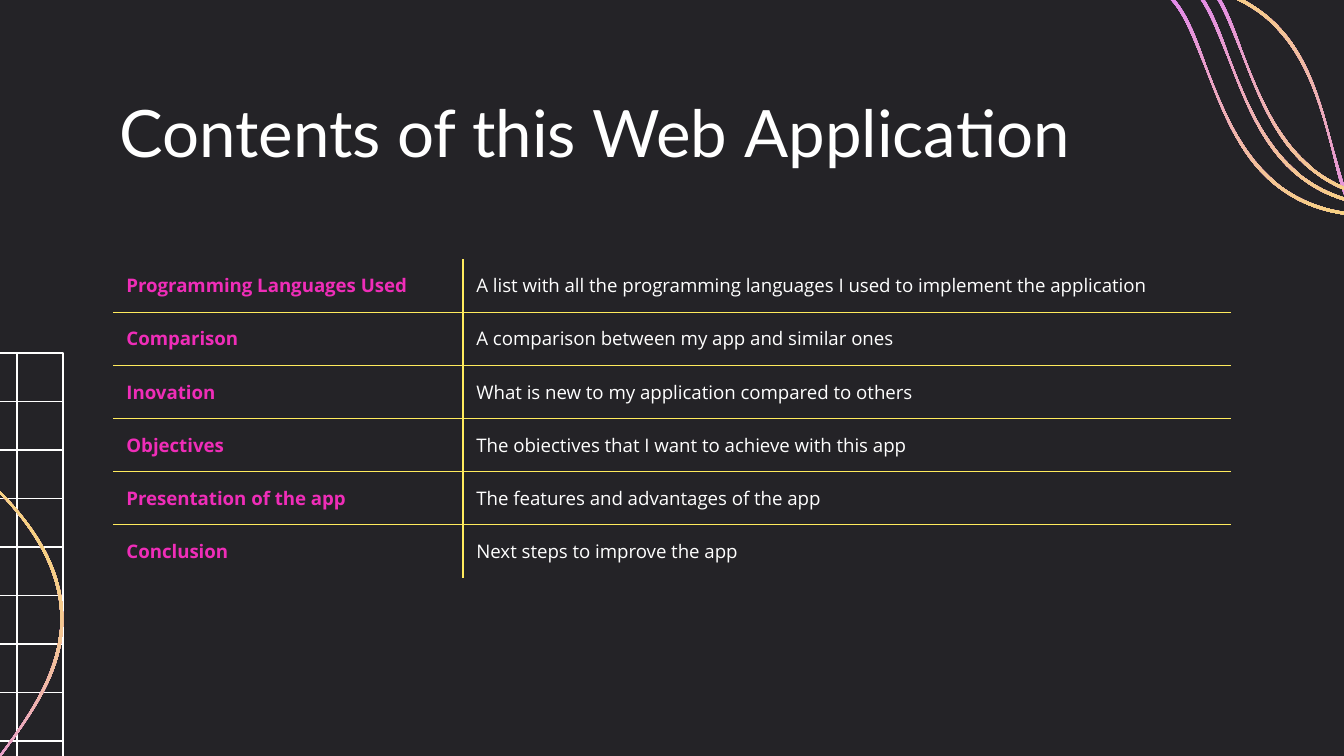
import pptx
import pptx.dml.color
import pptx.enum.lang
import pptx.enum.shapes
import pptx.enum.text
import pptx.oxml
import pptx.oxml.ns
import pptx.util

PX = 914400 / 134.4
COLORS = {
    "background": "242327",
    "text": "FFFFFF",
    "topic": "EF2DB8",
    "border": "FFEB5D",
    "ribbon_start": "DF7CFF",
    "ribbon_end": "FFEB5D",
}
DRAWING_NS = 'xmlns:a="http://schemas.openxmlformats.org/drawingml/2006/main"'


def px(length):
    return pptx.util.Emu(round(length * PX))


deck = pptx.Presentation()
deck.slide_width = px(1344)
deck.slide_height = px(756)
slide = deck.slides.add_slide(deck.slide_layouts[6])
rgb = {name: pptx.dml.color.RGBColor.from_string(value) for name, value in COLORS.items()}
slide.background.fill.solid()
slide.background.fill.fore_color.rgb = rgb["background"]
shapes = slide.shapes

# Ribbon outline: a start point, then cubic curves (two controls and an end);
# a single point is a straight edge.
ribbon_start = (365, 0)
ribbon_edges = [
    [(319, 78), (269, 117), (212, 121)],
    [(210, 121), (208, 121), (203, 121)],
    [(158, 121), (115, 99), (78, 80)],
    [(51, 65), (27, 53), (7, 52)],
    [(5, 52), (2, 53), (0, 53)],
    [(0, 56)],
    [(2, 55), (3, 55), (5, 55)],
    [(25, 55), (49, 68), (78, 82)],
    [(114, 100), (157, 124), (203, 124)],
    [(256, 124), (312, 95), (366, 1)],
    [ribbon_start],
]


def add_ribbon(left, top, rotation):
    """Add a freeform through all points, then turn each triple into a curve."""
    builder = shapes.build_freeform(px(ribbon_start[0]), px(ribbon_start[1]))
    points = [(px(x), px(y)) for edge in ribbon_edges for x, y in edge]
    builder.add_line_segments(points, close=True)
    ribbon = builder.convert_to_shape(px(left), px(top))
    segments = iter(ribbon._element.findall(".//" + pptx.oxml.ns.qn("a:lnTo")))
    for edge in ribbon_edges:
        parts = [next(segments) for point in edge]
        if len(parts) == 3:
            curve = pptx.oxml.parse_xml(f"<a:cubicBezTo {DRAWING_NS}/>")
            parts[0].addprevious(curve)
            for part in parts:
                curve.append(part[0])
                part.getparent().remove(part)
    ribbon.rotation = rotation
    ribbon.shadow.inherit = False
    ribbon.line.fill.background()
    ribbon.fill.gradient()
    ribbon.fill.gradient_angle = 315
    for stop, name in zip(ribbon.fill.gradient_stops, ("ribbon_start", "ribbon_end")):
        stop.color.rgb = rgb[name]


for left, top, rotation in [(1113, 59, 41.8), (1066, 24, 228.1),
                            (1136, 50, 41.8), (1149, 44, 41.8)]:
    add_ribbon(left, top, rotation)

# Grid in the lower left: two stacked tiles, each turned on its side
grid_left, grid_top, grid_width, tile_height = -121, 353, 184, 291
grid_right = grid_left + grid_width
turn_offset = (tile_height - grid_width) / 2
for tile, rows in enumerate([(1, 2, 3, 4, 5), (1, 2)]):
    tile_top = grid_top + tile * tile_height
    frame = shapes.add_shape(
        pptx.enum.shapes.MSO_SHAPE.RECTANGLE,
        px(grid_left - turn_offset), px(tile_top + turn_offset),
        px(tile_height), px(grid_width),
    )
    frame.rotation = 270
    frame.shadow.inherit = False
    frame.fill.background()
    frame.line.color.rgb = rgb["text"]
    frame.line.width = pptx.util.Pt(0.75)
    row_tops = [tile_top + row * tile_height / 6 for row in rows]
    grid_lines = [(grid_left, y, grid_right, y) for y in row_tops]
    grid_lines.append((17, tile_top, 17, tile_top + tile_height))
    for ends in grid_lines:
        line = shapes.add_connector(
            pptx.enum.shapes.MSO_CONNECTOR.STRAIGHT, *[px(end) for end in ends]
        )
        line.line.color.rgb = rgb["text"]
        line.line.width = pptx.util.Pt(0.75)
        line._element.spPr.append(pptx.oxml.parse_xml(f"<a:effectLst {DRAWING_NS}/>"))

add_ribbon(-186, 589, 279.2)

# Title
title = shapes.add_textbox(px(106), px(79), px(1278), px(85))
frame = title.text_frame
frame.word_wrap = True
frame.margin_left = frame.margin_right = pptx.util.Inches(0.1)
frame.margin_top = frame.margin_bottom = pptx.util.Inches(0.1)
languages = pptx.enum.lang.MSO_LANGUAGE_ID
for text, language in [("Contents of this Web ", languages.ENGLISH_US),
                       ("Application", languages.ENGLISH_UK)]:
    span = frame.paragraphs[0].add_run()
    span.text = text
    span.font.language_id = language
    span.font.name = "Lato"
    span.font.size = pptx.util.Pt(35)
    span.font.color.rgb = rgb["text"]

# Contents table
contents = [
    ("Programming Languages Used",
     "A list with all the programming languages I used to implement the application"),
    ("Comparison", "A comparison between my app and similar ones"),
    ("Inovation", "What is new to my application compared to others"),
    ("Objectives", "The obiectives that I want to achieve with this app"),
    ("Presentation of the app", "The features and advantages of the app"),
    ("Conclusion", "Next steps to improve the app"),
]
table = shapes.add_table(len(contents), 2, px(113), px(259), px(1118), px(319)).table
table.first_row = False
table.horz_banding = False
table.columns[0].width = px(350)
table.columns[1].width = px(768)
for row, texts in enumerate(contents):
    for column, text in enumerate(texts):
        cell = table.cell(row, column)
        cell.text = text
        cell.vertical_anchor = pptx.enum.text.MSO_ANCHOR.MIDDLE
        cell.margin_left = cell.margin_right = pptx.util.Inches(0.1)
        cell.margin_top = cell.margin_bottom = 0
        cell.fill.background()
        font = cell.text_frame.paragraphs[0].runs[0].font
        font.name = "Open Sans"
        font.size = pptx.util.Pt(10)
        font.bold = column == 0
        font.color.rgb = rgb["topic" if column == 0 else "text"]

        # Only the borders between cells are drawn
        inner_sides = {"L": column > 0, "R": column == 0,
                       "T": row > 0, "B": row < len(contents) - 1}
        properties = cell._tc.get_or_add_tcPr()
        for position, (side, drawn) in enumerate(inner_sides.items()):
            fill = (f'<a:solidFill><a:srgbClr val="{COLORS["border"]}"/></a:solidFill>'
                    if drawn else "<a:noFill/>")
            properties.insert(position, pptx.oxml.parse_xml(
                f'<a:ln{side} {DRAWING_NS} w="9525">{fill}</a:ln{side}>'
            ))

deck.save("out.pptx")
